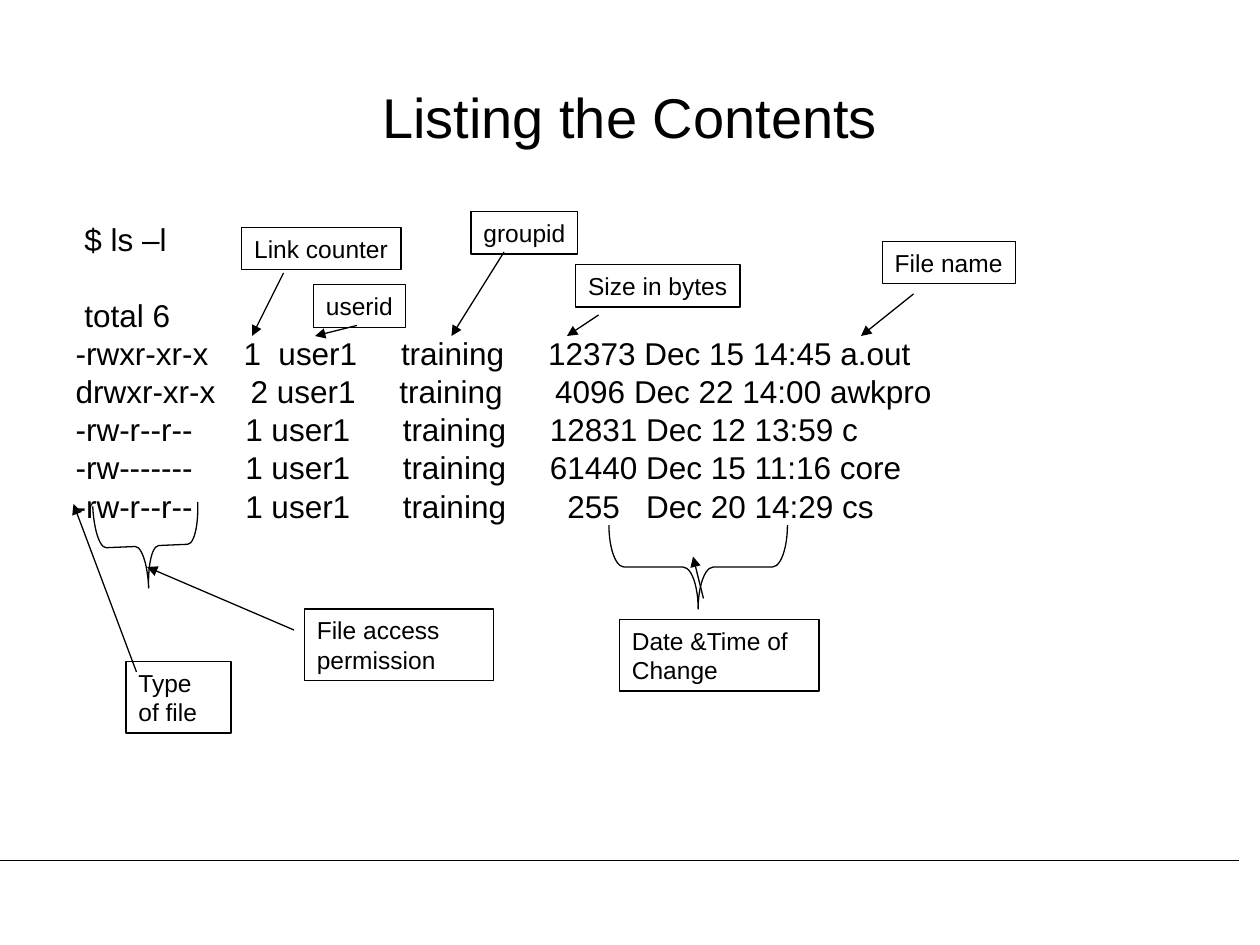
from dataclasses import dataclass

from pptx import Presentation
from pptx.dml.color import RGBColor
from pptx.enum import shapes, text
from pptx.oxml import ns
from pptx.util import Pt
from lxml import etree


@dataclass(frozen=True)
class Theme:
    font: str = "Arial"
    ink: RGBColor = RGBColor(0, 0, 0)
    paper: RGBColor = RGBColor(255, 255, 255)
    title_size: int = 32
    body_size: int = 18
    label_size: int = 14
    line_width: float = 0.75
    space_width: float = 5


COMMANDS = [(" $ ls –l", 0), (" total 6", 26.3)]
FILES = [
    (["-rwxr-xr-x", "1", "user1", "training", "12373", "Dec 15 14:45 a.out"], [4, 2, 5, 5, 1]),
    (["drwxr-xr-x", "2", "user1", "training", "4096", "Dec 22 14:00 awkpro"], [4, 1, 5, 6, 1]),
    (["-rw-r--r--", "1", "user1", "training", "12831", "Dec 12 13:59 c"], [6, 1, 6, 5, 1]),
    (["-rw-------", "1", "user1", "training", "61440", "Dec 15 11:16 core"], [6, 1, 6, 5, 1]),
    (["-rw-r--r--", "1", "user1", "training", "255", "Dec 20 14:29 cs"], [6, 1, 6, 7, 3]),
]
LISTING = [([line], [], before) for line, before in COMMANDS]
LISTING += [(fields, gaps, 4.5) for fields, gaps in FILES]

LABELS = [
    ("Type of file", (72, 378, 60, 41), True, (78, 384, 42, 288)),
    ("File access permission", (174, 348, 108, 41), True, (168, 360, 84, 324)),
    ("Link counter", (138.2, 130, 91, 24.2), False, (162, 156, 144, 192)),
    ("userid", (179.2, 162.8, 52.6, 24.2), False, (204, 186, 180, 192)),
    ("groupid", (269.2, 121, 61, 24.2), False, (288, 144, 258, 192)),
    ("Size in bytes", (329, 151.2, 94, 24.2), False, (342, 180, 324, 192)),
    ("Date &Time of Change", (354, 354, 114, 41), True, (402, 342, 396, 318)),
    ("File name", (504.2, 138, 76, 24.2), False, (522, 168, 492, 192)),
]

BRACES = [
    ((60, 282, 48, 60), 267.6, 0.14),
    ((375, 273, 48, 102), 270, 0.18),
]


class SlideBuilder:
    def __init__(self, presentation, theme):
        self.theme = theme
        self.slide = presentation.slides.add_slide(presentation.slide_layouts[1])

    def style_text(self, paragraph, size):
        paragraph.font.name = self.theme.font
        paragraph.font.size = Pt(size)
        paragraph.font.color.rgb = self.theme.ink

    def style_line(self, shape):
        shape.line.color.rgb = self.theme.ink
        shape.line.width = Pt(self.theme.line_width)

    def place(self, shape, box):
        shape.left, shape.top, shape.width, shape.height = map(Pt, box)

    def title(self, wording, box):
        shape = self.slide.shapes.title
        self.place(shape, box)
        shape.text_frame.text = wording
        shape.text_frame.auto_size = text.MSO_AUTO_SIZE.NONE
        shape.text_frame.vertical_anchor = text.MSO_ANCHOR.MIDDLE
        paragraph = shape.text_frame.paragraphs[0]
        paragraph.alignment = text.PP_ALIGN.CENTER
        self.style_text(paragraph, self.theme.title_size)

    def add_fields(self, paragraph, fields, gaps):
        paragraph.add_run().text = fields[0]
        for gap, field in zip(gaps, fields[1:]):
            if gap == 1:
                paragraph.runs[-1].text += " " + field
                continue
            space = paragraph.add_run()
            space.text = " "
            spacing = (gap - 1) * self.theme.space_width * 100
            space.font._element.set("spc", str(int(spacing)))
            paragraph.add_run().text = field

    def listing(self, lines, box):
        shape = self.slide.placeholders[1]
        self.place(shape, box)
        frame = shape.text_frame
        frame.auto_size = text.MSO_AUTO_SIZE.NONE
        for index, (fields, gaps, before) in enumerate(lines):
            paragraph = frame.add_paragraph() if index else frame.paragraphs[0]
            self.add_fields(paragraph, fields, gaps)
            paragraph.line_spacing = 0.8
            paragraph.space_before = Pt(before)
            properties = paragraph._p.get_or_add_pPr()
            properties.set("marL", "0")
            properties.set("indent", "0")
            etree.SubElement(properties, ns.qn("a:buNone"))
            self.style_text(paragraph, self.theme.body_size)

    def label(self, wording, box, wraps):
        shape = self.slide.shapes.add_shape(shapes.MSO_SHAPE.RECTANGLE, *map(Pt, box))
        shape.shadow.inherit = False
        shape.fill.background()
        self.style_line(shape)
        frame = shape.text_frame
        frame.word_wrap = wraps
        frame.vertical_anchor = text.MSO_ANCHOR.TOP
        frame.text = wording
        paragraph = frame.paragraphs[0]
        paragraph.alignment = text.PP_ALIGN.LEFT
        self.style_text(paragraph, self.theme.label_size)

    def line(self, ends, arrow=False):
        connector = self.slide.shapes.add_connector(
            shapes.MSO_CONNECTOR.STRAIGHT, *map(Pt, ends))
        self.style_line(connector)
        if arrow:
            etree.SubElement(connector.line._get_or_add_ln(),
                             ns.qn("a:tailEnd"), type="triangle")
        etree.SubElement(connector._element.spPr, ns.qn("a:effectLst"))

    def brace(self, box, rotation, curl):
        shape = self.slide.shapes.add_shape(shapes.MSO_SHAPE.LEFT_BRACE, *map(Pt, box))
        shape.shadow.inherit = False
        shape.fill.background()
        self.style_line(shape)
        shape.rotation = rotation
        shape.adjustments[0] = curl


def main():
    presentation = Presentation()
    presentation.slide_width, presentation.slide_height = Pt(720), Pt(540)
    theme = Theme()
    builder = SlideBuilder(presentation, theme)
    builder.slide.background.fill.solid()
    builder.slide.background.fill.fore_color.rgb = theme.paper
    builder.title("Listing the Contents", (36, 21.6, 648, 90))
    builder.listing(LISTING, (36, 126, 648, 356.4))
    builder.line((0, 491.8, 708, 491.8))
    for wording, box, wraps, pointer in LABELS:
        builder.label(wording, box, wraps)
        builder.line(pointer, arrow=True)
    for box, rotation, curl in BRACES:
        builder.brace(box, rotation, curl)
    presentation.save("out.pptx")


if __name__ == "__main__":
    main()
